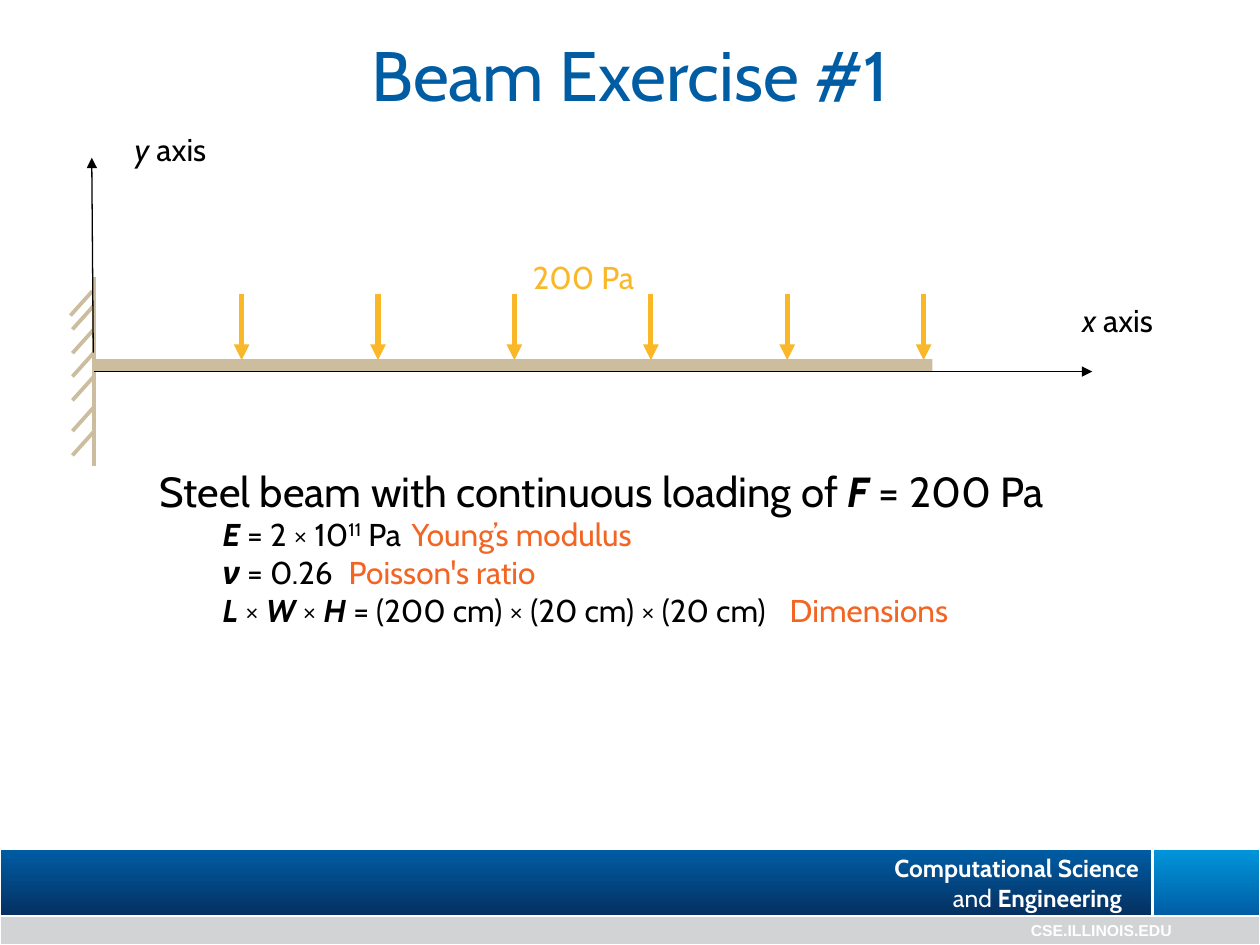
from dataclasses import dataclass

from lxml import etree
from pptx import Presentation
from pptx.dml.color import RGBColor
from pptx.enum import shapes, text
from pptx.oxml import ns
from pptx.util import Cm, Pt


@dataclass(frozen=True)
class Theme:
    font: str = "Cabin"
    address_font: str = "Arial"
    black: str = "000000"
    white: str = "FFFFFF"
    blue: str = "005DA4"
    navy: str = "053061"
    sky: str = "0095DA"
    grey: str = "D1D3D4"
    sand: str = "CBBD9E"
    gold: str = "FAB828"
    orange: str = "F26522"
    title: int = 40
    lead: int = 24
    body: int = 18
    footer: int = 14
    address: int = 9
    axis_line: float = 0.75
    wall_line: float = 2.15
    load_line: float = 3
    border: float = 1.45


T = Theme()


def rgb(color):
    return RGBColor.from_string(color)


def add_run(p, content, size=T.body, color=T.black, style="", font=T.font):
    r = p.add_run()
    r.text = content
    r.font.name = font
    r.font.size = Pt(size)
    r.font.color.rgb = rgb(color)
    r.font.bold = "b" in style
    r.font.italic = "i" in style
    if "^" in style:
        r.font._element.set("baseline", "33000")


def indent(p, left, tab=None):
    pPr = p._p.get_or_add_pPr()
    pPr.set("marL", str(Cm(left)))
    pPr.set("indent", "0")
    if tab:
        tabs = etree.SubElement(pPr, ns.qn("a:tabLst"))
        etree.SubElement(tabs, ns.qn("a:tab"), pos=str(Cm(tab)), algn="l")


def add_bar(s, left, top, width, height, colors, border=None):
    sp = s.shapes.add_shape(shapes.MSO_SHAPE.RECTANGLE,
                            Cm(left), Cm(top), Cm(width), Cm(height))
    sp.shadow.inherit = False
    if len(colors) == 1:
        sp.fill.solid()
        sp.fill.fore_color.rgb = rgb(colors[0])
    else:
        sp.fill.gradient()
        sp.fill.gradient_angle = 270
        for stop, color in zip(sp.fill.gradient_stops, colors):
            stop.color.rgb = rgb(color)
    if border:
        sp.line.color.rgb = rgb(border)
        sp.line.width = Pt(T.border)
    else:
        sp.line.fill.background()
    tf = sp.text_frame
    tf.vertical_anchor = text.MSO_ANCHOR.MIDDLE
    tf.margin_top = tf.margin_bottom = Cm(0)
    return sp


def add_line(s, start, end, color, width, arrow=False):
    line = s.shapes.add_connector(shapes.MSO_CONNECTOR.STRAIGHT,
                                  *map(Cm, start + end))
    line.line.color.rgb = rgb(color)
    line.line.width = Pt(width)
    if arrow:
        ln = line.line._get_or_add_ln()
        etree.SubElement(ln, ns.qn("a:tailEnd"), type="triangle")
    etree.SubElement(line._element.spPr, ns.qn("a:effectLst"))


def add_text(s, left, top, width, height):
    tf = s.shapes.add_textbox(Cm(left), Cm(top), Cm(width), Cm(height)).text_frame
    tf.word_wrap = True
    return tf


def add_label(s, left, top, width, runs):
    p = add_text(s, left, top, width, 1.02).paragraphs[0]
    p.alignment = text.PP_ALIGN.CENTER
    for run in runs:
        add_run(p, *run)


def add_title(s):
    title = s.shapes.title
    title.left, title.top, title.width, title.height = map(Cm, (0, 0.51, 25.4, 1.96))
    tf = title.text_frame
    tf.auto_size = text.MSO_AUTO_SIZE.NONE
    tf.vertical_anchor = text.MSO_ANCHOR.TOP
    p = tf.paragraphs[0]
    p.alignment = text.PP_ALIGN.CENTER
    add_run(p, "Beam Exercise #1", T.title, T.blue)


def add_footer(s):
    tf = add_bar(s, 0, 17.12, 23.24, 1.35, (T.blue, T.navy), T.white).text_frame
    tf.margin_left, tf.margin_right = Cm(0.28), Cm(0)
    lines = [(17.75, [("Computational Science", "b")]),
             (18.93, [("and ", ""), ("Engineering", "b")])]
    for i, (left, runs) in enumerate(lines):
        p = tf.add_paragraph() if i else tf.paragraphs[0]
        p.alignment = text.PP_ALIGN.LEFT
        indent(p, left)
        for content, style in runs:
            add_run(p, content, T.footer, T.white, style)

    add_bar(s, 23.24, 17.12, 2.16, 1.35, (T.sky, T.blue), T.white)

    tf = add_bar(s, 0, 18.47, 25.4, 0.58, (T.grey,), T.white).text_frame
    tf.margin_right = Cm(1.78)
    p = tf.paragraphs[0]
    p.alignment = text.PP_ALIGN.RIGHT
    add_run(p, "CSE.ILLINOIS.EDU", T.address, T.white, "b", T.address_font)


def add_wall(s):
    add_line(s, (1.9, 5.59), (1.9, 9.4), T.sand, T.wall_line)
    for x, y in [(1.86, 5.87)] + [(1.9, y) for y in (6.15, 6.63, 7.1, 7.58, 8.2, 8.69)]:
        add_line(s, (x, y), (x - 0.44, y + 0.49), T.sand, T.wall_line)


def add_loads(s, count=6, first=4.87, step=2.75):
    for i in range(count):
        x = first + i * step
        add_line(s, (x, 5.92), (x, 7.26), T.gold, T.load_line, arrow=True)


def add_properties(s):
    tf = add_text(s, 2.97, 9.25, 21.79, 3.56)
    p = tf.paragraphs[0]
    add_run(p, "Steel beam with continuous loading of ", T.lead)
    add_run(p, "F", T.lead, style="bi")
    add_run(p, " = 200 Pa", T.lead)
    rows = [
        ([("E", "bi"), (" = 2 × 10", ""), ("11", "^"), (" Pa", "")], "Young’s modulus"),
        ([("ν", "bi"), (" = 0.26", "")], "Poisson's ratio"),
        ([("L", "bi"), (" × ", ""), ("W", "bi"), (" × ", ""), ("H", "bi"),
          (" = (200 cm) × (20 cm) × (20 cm)", "")], "Dimensions"),
    ]
    for runs, meaning in rows:
        p = tf.add_paragraph()
        indent(p, 1.27, tab=12.7)
        for content, style in runs:
            add_run(p, content, style=style)
        add_run(p, "\t" + meaning, color=T.orange)


def main():
    prs = Presentation()
    prs.slide_width, prs.slide_height = Cm(25.4), Cm(19.05)
    s = prs.slides.add_slide(prs.slide_layouts[5])
    add_title(s)
    add_footer(s)
    add_wall(s)
    add_bar(s, 1.9, 7.24, 16.9, 0.25, (T.sand,))
    add_line(s, (1.9, 7.49), (22.02, 7.49), T.black, T.axis_line, arrow=True)
    add_line(s, (1.88, 7.11), (1.85, 3.18), T.black, T.axis_line, arrow=True)
    add_loads(s)
    add_label(s, 4.88, 5.08, 13.77, [("200 Pa", T.body, T.gold)])
    add_label(s, 2.36, 2.49, 2.16, [("y", T.body, T.black, "i"), (" axis",)])
    add_label(s, 21.16, 5.94, 2.74, [("x", T.body, T.black, "i"), (" axis",)])
    add_properties(s)
    prs.save("out.pptx")


if __name__ == "__main__":
    main()
